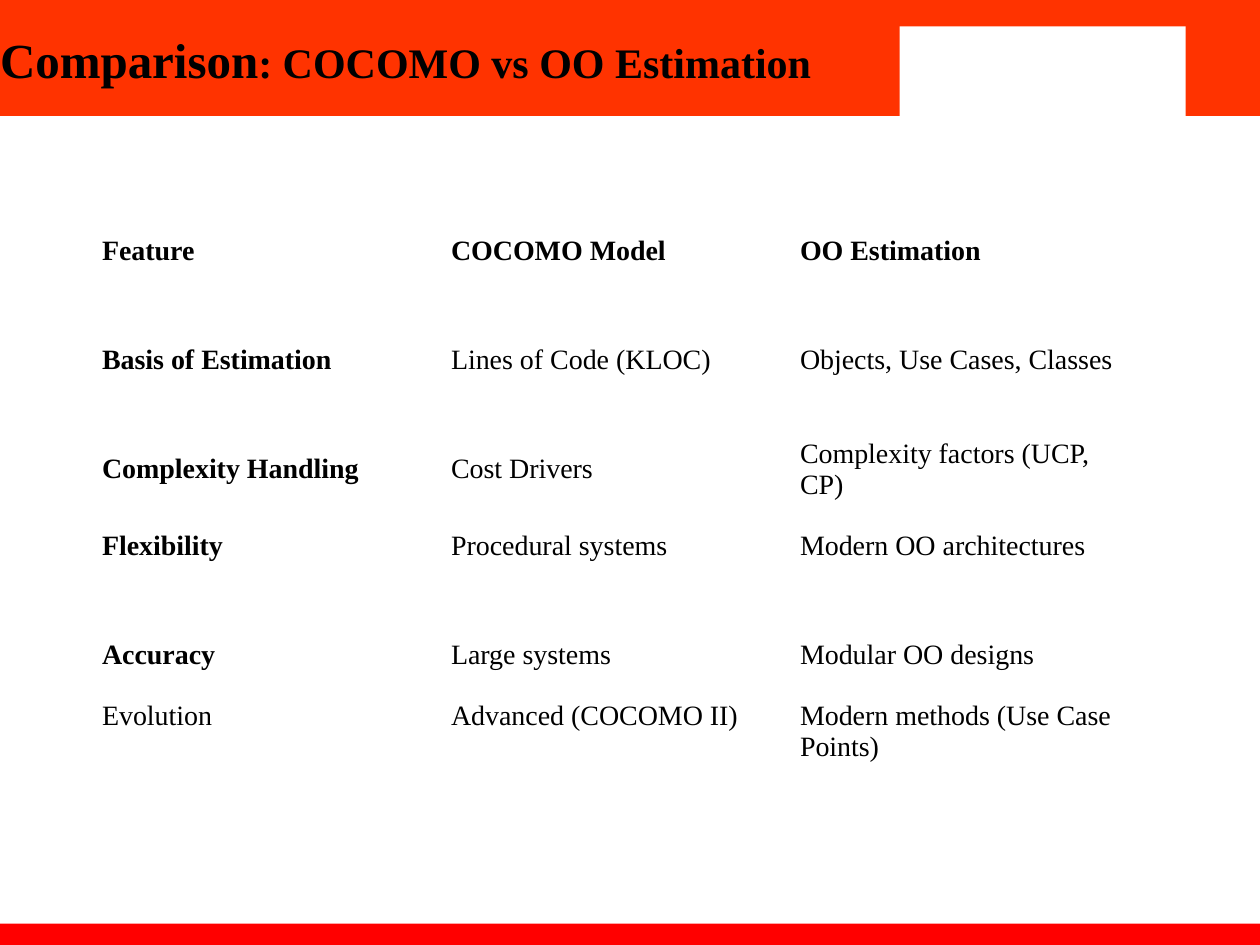
from dataclasses import dataclass

from pptx import Presentation
from pptx.dml.color import RGBColor
from pptx.enum.shapes import MSO_SHAPE
from pptx.enum.text import MSO_ANCHOR
from pptx.util import Inches, Pt

RECT = MSO_SHAPE.RECTANGLE
MIDDLE = MSO_ANCHOR.MIDDLE
TOP = MSO_ANCHOR.TOP


@dataclass(frozen=True)
class Theme:
    font: str = "Times New Roman"
    ink: str = "000000"
    paper: str = "FFFFFF"
    band: str = "FF3300"
    foot: str = "FF0000"
    title: int = 28
    topic: int = 24
    body: int = 16


class Deck:
    """Draws styled elements on the current slide."""

    def __init__(self, theme, slide):
        self.theme = theme
        self.slide = slide

    def style(self, font, size, bold):
        font.name = self.theme.font
        font.size = Pt(size)
        font.bold = bold
        font.color.rgb = RGBColor.from_string(self.theme.ink)

    def bar(self, box, color):
        shape = self.slide.shapes.add_shape(RECT, *map(Inches, box))
        shape.shadow.inherit = False
        shape.fill.solid()
        shape.fill.fore_color.rgb = RGBColor.from_string(color)
        shape.line.fill.background()

    def title(self, box, parts):
        frame = self.slide.shapes.add_textbox(*map(Inches, box)).text_frame
        frame.word_wrap = True
        frame.vertical_anchor = MIDDLE
        frame.margin_left = frame.margin_right = 0
        frame.margin_top = frame.margin_bottom = 0
        para = frame.paragraphs[0]
        para.line_spacing = 0.9
        for text, size in parts:
            run = para.add_run()
            run.text = text
            self.style(run.font, size, True)

    def table(self, left, top, width, rows):
        count = len(rows[0][-1])
        high = sum(row[0] for row in rows)
        table = self.slide.shapes.add_table(
            len(rows), count, *map(Inches, (left, top, width, high))
        ).table
        table.first_row = table.horz_banding = False
        for line, (tall, anchor, bolds, texts) in zip(table.rows, rows):
            line.height = Inches(tall)
            for col, (cell, text) in enumerate(zip(line.cells, texts)):
                cell.fill.background()
                cell.vertical_anchor = anchor
                cell.text = text
                para = cell.text_frame.paragraphs[0]
                self.style(para.font, self.theme.body, col < bolds)


ROWS = [
    (0.86, MIDDLE, 3, ("Feature", "COCOMO Model", "OO Estimation")),
    (0.87, MIDDLE, 1, ("Basis of Estimation", "Lines of Code (KLOC)",
                       "Objects, Use Cases, Classes")),
    (0.87, MIDDLE, 1, ("Complexity Handling", "Cost Drivers",
                       "Complexity factors (UCP, CP)")),
    (0.87, TOP, 1, ("Flexibility", "Procedural systems",
                    "Modern OO architectures")),
    (0.48, TOP, 1, ("Accuracy", "Large systems", "Modular OO designs")),
    (0.82, TOP, 0, ("Evolution", "Advanced (COCOMO II)",
                    "Modern methods (Use Case Points)")),
]


def main():
    show = Presentation()
    show.slide_width = Inches(10)
    show.slide_height = Inches(7.5)
    theme = Theme()
    deck = Deck(theme, show.slides.add_slide(show.slide_layouts[6]))
    deck.bar((0, 0, 10, 0.92), theme.band)
    deck.bar((0, 7.33, 10, 0.22), theme.foot)
    deck.bar((6.72, 0, 3.28, 0.92), theme.band)
    deck.bar((7.14, 0.21, 2.27, 0.75), theme.paper)
    deck.title((0, 0, 6.89, 1), [
        ("Comparison", theme.title),
        (": COCOMO vs OO Estimation", theme.topic),
    ])
    deck.table(0.71, 1.56, 8.31, ROWS)
    show.save("out.pptx")


if __name__ == "__main__":
    main()
